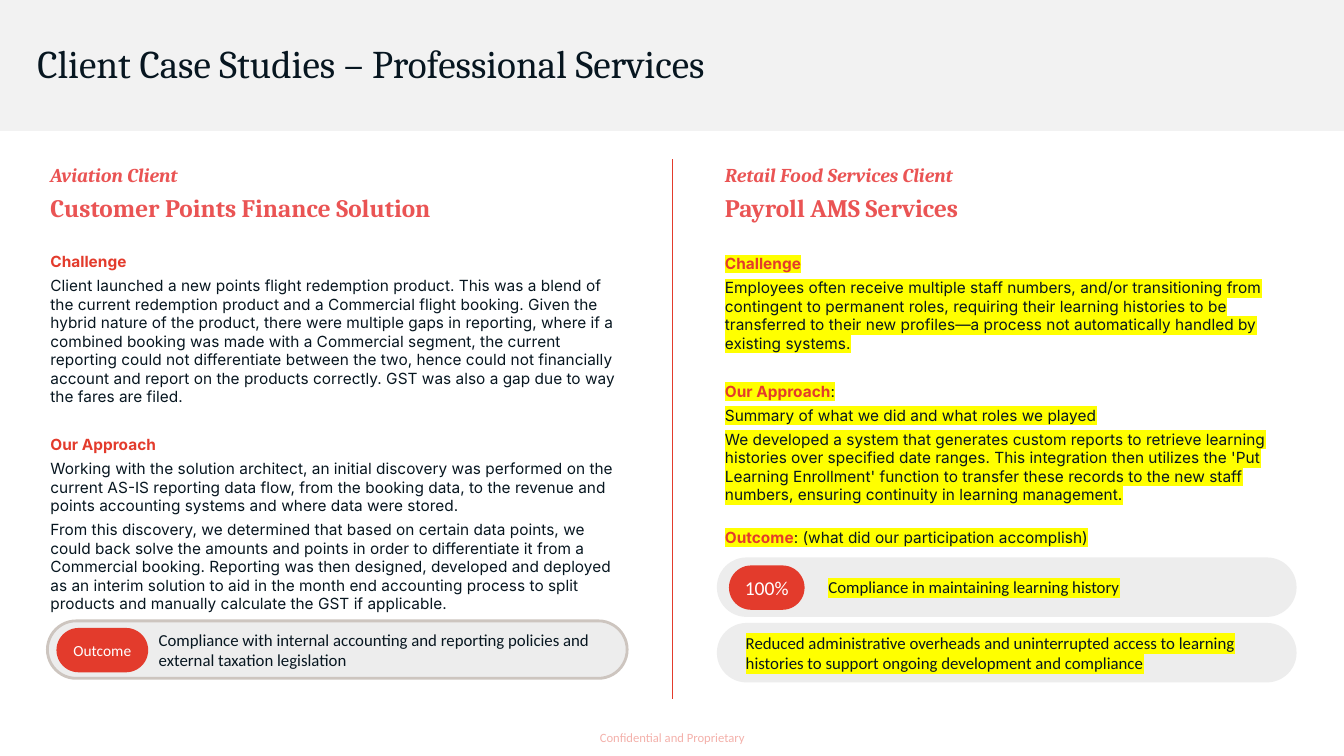
from dataclasses import dataclass

from lxml import etree
from pptx import Presentation
from pptx.dml.color import RGBColor
from pptx.enum.shapes import MSO_CONNECTOR, MSO_SHAPE
from pptx.enum.text import MSO_ANCHOR, MSO_AUTO_SIZE, PP_ALIGN
from pptx.oxml.ns import qn
from pptx.util import Emu, Pt

STRAIGHT = MSO_CONNECTOR.STRAIGHT
RECTANGLE, PILL = MSO_SHAPE.RECTANGLE, MSO_SHAPE.ROUNDED_RECTANGLE
TOP, MIDDLE = MSO_ANCHOR.TOP, MSO_ANCHOR.MIDDLE
LEFT, CENTER = PP_ALIGN.LEFT, PP_ALIGN.CENTER
NO_AUTOFIT = MSO_AUTO_SIZE.NONE
PX = 9144
SLIDE_SIZE = (1333, 750)
TWO_CONTENT_LAYOUT = 3


@dataclass(frozen=True)
class Style:
    """Look of one kind of run."""
    font: str
    size: float
    color: str
    bold: bool = False
    italic: bool = False


class Theme:
    """Colours, type sizes and spacing of the slide."""
    BAND, PANEL, PANEL_LINE = "F2F2F2", "EDEDED", "CDC5BF"
    RED, WHITE, INK, HIGHLIGHT = "E33B2C", "FFFFFF", "071620", "FFFF00"
    TITLE = Style("Cambria", 28, INK)
    CLIENT = Style("Cambria", 14, "EA5454", True, True)
    SOLUTION = Style("Cambria", 18, "EA5454", True)
    HEADING = Style("Inter", 11, RED, True)
    BODY = Style("Inter", 11, INK)
    RESULT = Style("Calibri", 12, INK)
    BADGE = Style("Calibri", 11, WHITE)
    FIGURE = Style("Calibri", 14, WHITE)
    FOOTER = Style("Calibri", 9, "F4B1AB")
    SPACE_AFTER = 4


AVIATION = [
    (0, [("Aviation Client", Theme.CLIENT)]),
    (0, [("Customer Points Finance Solution", Theme.SOLUTION)]),
    (17, [("Challenge", Theme.HEADING)]),
    (0, [("Client launched a new points flight redemption product. This was a blend of the "
          "current redemption product and a Commercial flight booking. Given the hybrid nature "
          "of the product, there were multiple gaps in reporting, where if a combined booking "
          "was made with a Commercial segment, the current reporting could not differentiate "
          "between the two, hence could not financially account and report on the products "
          "correctly. GST was also a gap due to way the fares are filed.", Theme.BODY)]),
    (17, [("Our Approach", Theme.HEADING)]),
    (0, [("Working with the solution architect, an initial discovery was performed on the "
          "current AS-IS reporting data flow, from the booking data, to the revenue and points "
          "accounting systems and where data were stored.", Theme.BODY)]),
    (0, [("From this discovery, we determined that based on certain data points, we could back "
          "solve the amounts and points in order to differentiate it from a Commercial booking. "
          "Reporting was then designed, developed and deployed as an interim solution to aid in "
          "the month end accounting process to split products and manually calculate the GST if "
          "applicable.", Theme.BODY)]),
]
RETAIL = [
    (0, [("Retail Food Services Client", Theme.CLIENT)]),
    (0, [("Payroll AMS Services", Theme.SOLUTION)]),
    (18.5, [("Challenge", Theme.HEADING)]),
    (0, [("Employees often receive multiple staff numbers, and/or transitioning from contingent "
          "to permanent roles, requiring their learning histories to be transferred to their new "
          "profiles—a process not automatically handled by existing systems.", Theme.BODY)]),
    (17, [("Our Approach", Theme.HEADING), (":", Theme.BODY)]),
    (0, [("Summary of what we did and what roles we played", Theme.BODY)]),
    (0, [("We developed a system that generates custom reports to retrieve learning histories "
          "over specified date ranges. This integration then utilizes the 'Put Learning "
          "Enrollment' function to transfer these records to the new staff numbers, ensuring "
          "continuity in learning management.", Theme.BODY)]),
    (13, [("Outcome", Theme.HEADING),
          (": (what did our participation accomplish)", Theme.BODY)]),
]


def px(*lengths):
    """Turn pixel lengths into EMU."""
    return [Emu(length * PX) for length in lengths]


def place(shape, box):
    """Move a shape to a box of left, top, width and height."""
    shape.left, shape.top, shape.width, shape.height = px(*box)


def add_run(paragraph, text, style, highlighted=False):
    """Append a styled run, highlighted on request."""
    run = paragraph.add_run()
    run.text = text
    font = run.font
    font.name, font.size = style.font, Pt(style.size)
    font.bold, font.italic = style.bold, style.italic
    font.color.rgb = RGBColor.from_string(style.color)
    if highlighted:
        highlight = etree.Element(qn("a:highlight"))
        etree.SubElement(highlight, qn("a:srgbClr"), val=Theme.HIGHLIGHT)
        run._r.rPr.find(qn("a:solidFill")).addnext(highlight)


def set_frame(shape, insets, anchor, wrap=True):
    """Set insets, anchor and wrapping, and return the text frame."""
    frame = shape.text_frame
    frame.auto_size, frame.word_wrap, frame.vertical_anchor = NO_AUTOFIT, wrap, anchor
    (frame.margin_left, frame.margin_top,
     frame.margin_right, frame.margin_bottom) = px(*insets)
    return frame


def add_filled(slide, geometry, box, fill, line=None):
    """Add a flat filled shape with an optional outline."""
    shape = slide.shapes.add_shape(geometry, *px(*box))
    shape.shadow.inherit = False
    shape.fill.solid()
    shape.fill.fore_color.rgb = RGBColor.from_string(fill)
    if line:
        shape.line.color.rgb = RGBColor.from_string(line)
        shape.line.width = Pt(2)
    else:
        shape.line.fill.background()
    return shape


def build_header(slide, box):
    """Lay the band behind the title and fill in the title."""
    left, top, width, height = box
    band = add_filled(slide, RECTANGLE, box, Theme.BAND)
    slide.shapes._spTree.insert(2, band._element)
    title = slide.shapes.title
    place(title, (left + 37, top + 26, width - 191, height - 51))
    paragraph = set_frame(title, (0, 0, 0, 0), MIDDLE).paragraphs[0]
    paragraph.alignment, paragraph.line_spacing = LEFT, 0.9
    add_run(paragraph, "Client Case Studies – Professional Services", Theme.TITLE)


def build_case(placeholder, box, paragraphs, highlighted=False):
    """Fill one case study column; highlighting covers its body font only."""
    place(placeholder, box)
    frame = set_frame(placeholder, (8, 8, 8, 8), TOP)
    for index, (space_before, runs) in enumerate(paragraphs):
        paragraph = frame.add_paragraph() if index else frame.paragraphs[0]
        properties = paragraph._p.get_or_add_pPr()
        properties.set("marL", "0")
        properties.set("indent", "0")
        etree.SubElement(properties, qn("a:buNone"))
        paragraph.space_before = Pt(space_before)
        paragraph.space_after = Pt(Theme.SPACE_AFTER)
        for text, style in runs:
            add_run(paragraph, text, style, highlighted and style.font == Theme.BODY.font)


def add_pill(slide, box, text, style, fill, inset=8, align=LEFT, line=None, highlighted=False):
    """Add a fully rounded shape holding one line of text or more."""
    pill = add_filled(slide, PILL, box, fill, line)
    pill.adjustments[0] = 0.5
    paragraph = set_frame(pill, (inset, 8, 8, 8), MIDDLE).paragraphs[0]
    paragraph.alignment = align
    add_run(paragraph, text, style, highlighted)


def build_result(slide, box, text, badge=None, line=None, highlighted=False):
    """Add a result bar with an optional badge of offset, width, text and style."""
    left, top, _, height = box
    add_pill(slide, box, text, Theme.RESULT, Theme.PANEL, 102 if badge else 20,
             line=line, highlighted=highlighted)
    if badge:
        offset, width, label, style = badge
        badge_box = (left + offset, top + (height - 44) // 2 + 1, width, 44)
        add_pill(slide, badge_box, label, style, Theme.RED, align=CENTER)


def build_divider(slide, x, top, bottom):
    """Draw the line between the two columns."""
    divider = slide.shapes.add_connector(STRAIGHT, *px(x, bottom, x, top))
    divider.line.color.rgb = RGBColor.from_string(Theme.RED)
    divider.line.width = Pt(0.75)
    etree.SubElement(divider._element.spPr, qn("a:effectLst"))


def build_footer(slide, box):
    """Add the confidentiality line."""
    footer = slide.shapes.add_textbox(*px(*box))
    paragraph = set_frame(footer, (4, 4, 4, 4), MIDDLE, wrap=False).paragraphs[0]
    add_run(paragraph, "Confidential and Proprietary", Theme.FOOTER)


def main():
    """Build the slide and save it."""
    presentation = Presentation()
    presentation.slide_width, presentation.slide_height = px(*SLIDE_SIZE)
    slide = presentation.slides.add_slide(presentation.slide_layouts[TWO_CONTENT_LAYOUT])
    build_header(slide, (0, 0, 1333, 130))
    build_divider(slide, 667, 158, 693)
    build_case(slide.placeholders[1], (42, 154, 580, 539), AVIATION)
    build_case(slide.placeholders[2], (711, 154, 578, 535), RETAIL, highlighted=True)
    build_result(slide, (47, 616, 575, 57),
                 "Compliance with internal accounting and reporting policies and external "
                 "taxation legislation", (9, 91, "Outcome", Theme.BADGE), Theme.PANEL_LINE)
    build_result(slide, (711, 553, 575, 59), "Compliance in maintaining learning history",
                 (12, 75, "100%", Theme.FIGURE), highlighted=True)
    build_result(slide, (711, 618, 575, 59),
                 "Reduced administrative overheads and uninterrupted access to learning "
                 "histories to support ongoing development and compliance", highlighted=True)
    build_footer(slide, (591, 720, 153, 23))
    presentation.save("out.pptx")


if __name__ == "__main__":
    main()
